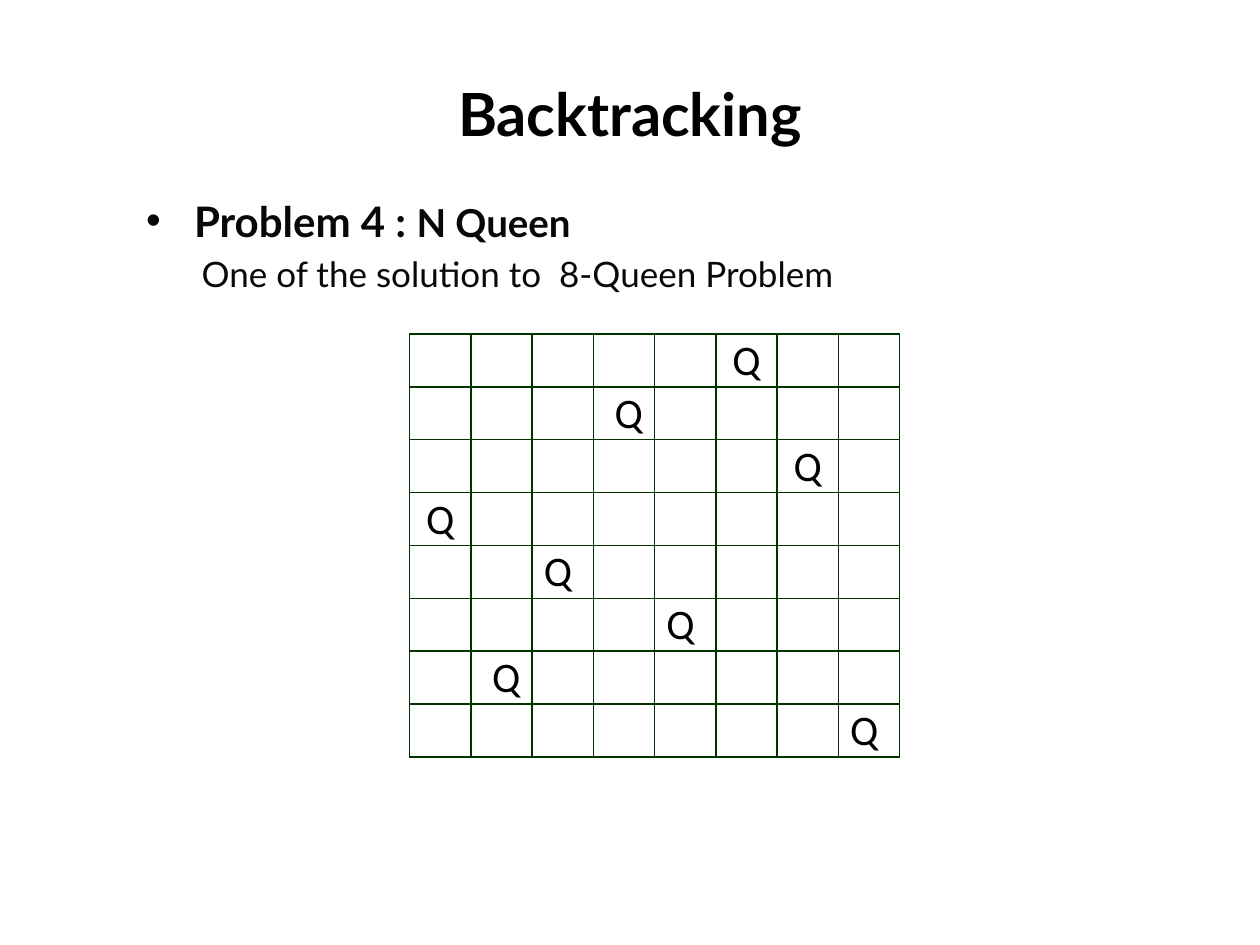
from dataclasses import dataclass

from lxml import etree
from pptx import Presentation
from pptx.dml.color import RGBColor
from pptx.enum import text
from pptx.oxml import ns
from pptx.util import Inches, Pt

TITLE = "Backtracking"
PROBLEM = ("Problem 4 : ", "N Queen")
CAPTION = "One of the solution to  8-Queen Problem"
# One queen per row: its column and its label
QUEENS = [(5, "Q"), (3, " Q"), (6, "Q"), (0, "Q"),
          (2, "Q "), (4, "Q "), (1, " Q"), (7, "Q ")]


@dataclass(frozen=True)
class Theme:
    heading_font: str = "Lato"
    queen_font: str = "Calibri"
    black: str = "000000"
    ink: str = "080808"
    grid: str = "003300"
    title_size: int = 34
    problem_size: int = 24
    name_size: int = 22
    caption_size: int = 20
    queen_size: int = 24
    grid_width: int = 1


THEME = Theme()


def place(box, left, top, width, height):
    box.left, box.top = Inches(left), Inches(top)
    box.width, box.height = Inches(width), Inches(height)


def add_text(para, words, *, size, font=THEME.heading_font, color=THEME.ink,
             bold=False, align=text.PP_ALIGN.CENTER):
    para.alignment = align
    span = para.add_run()
    span.text = words
    span.font.name = font
    span.font.size = Pt(size)
    span.font.bold = bold
    span.font.color.rgb = RGBColor.from_string(color)


def set_bullet(para, indent, hanging, mark=None):
    props = para._p.get_or_add_pPr()
    props.set("marL", str(Inches(indent)))
    props.set("indent", str(-Inches(hanging)))
    if mark:
        etree.SubElement(props, ns.qn("a:buChar"), char=mark)
    else:
        etree.SubElement(props, ns.qn("a:buNone"))


def outline(cell):
    props = cell._tc.get_or_add_tcPr()
    for position, side in enumerate(("a:lnL", "a:lnR", "a:lnT", "a:lnB")):
        line = etree.Element(ns.qn(side), w=str(Pt(THEME.grid_width)))
        fill = etree.SubElement(line, ns.qn("a:solidFill"))
        etree.SubElement(fill, ns.qn("a:srgbClr"), val=THEME.grid)
        props.insert(position, line)


def add_board(page):
    count = len(QUEENS)
    column_width, row_height = 3.89 / count, 0.42
    frame = page.shapes.add_table(
        count, count, Inches(3.25), Inches(2.65),
        Inches(column_width * count), Inches(row_height * count))
    board = frame.table
    board.first_row = board.horz_banding = False
    for cell in board.iter_cells():
        cell.fill.background()
        outline(cell)
    for row, (column, label) in enumerate(QUEENS):
        cell = board.cell(row, column)
        cell.vertical_anchor = text.MSO_ANCHOR.BOTTOM
        cell.margin_left = cell.margin_right = cell.margin_top = Inches(0.01)
        cell.margin_bottom = 0
        add_text(cell.text_frame.paragraphs[0], label, size=THEME.queen_size,
                 font=THEME.queen_font, color=THEME.black)


def main():
    deck = Presentation()
    deck.slide_width, deck.slide_height = Inches(10), Inches(7.5)
    page = deck.slides.add_slide(deck.slide_layouts[1])

    title = page.shapes.title
    place(title, 0.5, 0.5, 9, 0.79)
    title.text_frame.auto_size = text.MSO_AUTO_SIZE.NONE
    title.text_frame.vertical_anchor = text.MSO_ANCHOR.MIDDLE
    add_text(title.text_frame.paragraphs[0], TITLE, size=THEME.title_size,
             color=THEME.black, bold=True)

    body = page.placeholders[1]
    place(body, 1.06, 1.5, 8.27, 4.5)
    body.text_frame.auto_size = text.MSO_AUTO_SIZE.NONE
    problem = body.text_frame.paragraphs[0]
    problem.space_before = Pt(0)
    set_bullet(problem, 0.38, 0.38, "•")
    for words, size in zip(PROBLEM, (THEME.problem_size, THEME.name_size)):
        add_text(problem, words, size=size, bold=True,
                 align=text.PP_ALIGN.JUSTIFY)
    caption = body.text_frame.add_paragraph()
    caption.level = 1
    caption.space_before = Pt(4)
    set_bullet(caption, 0.44, 0)
    add_text(caption, CAPTION, size=THEME.caption_size,
             align=text.PP_ALIGN.JUSTIFY)

    add_board(page)
    deck.save("out.pptx")


if __name__ == "__main__":
    main()
